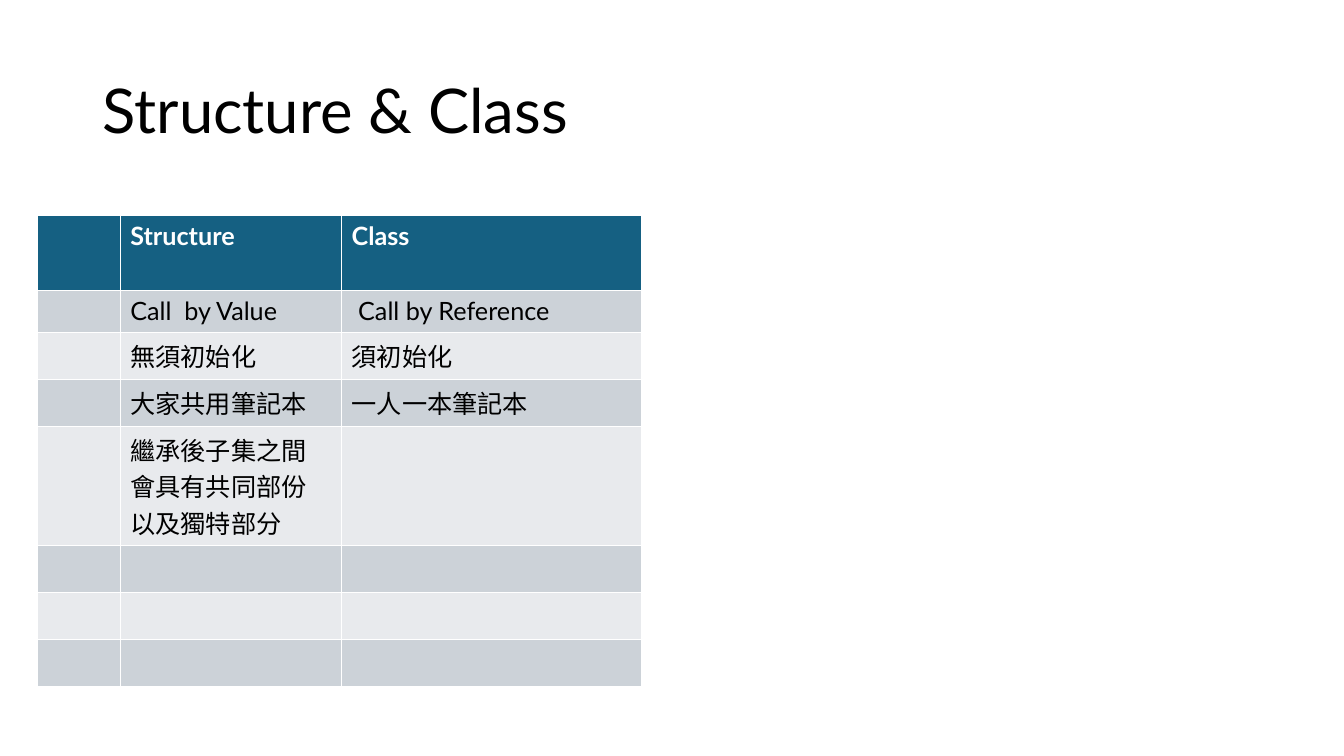
from pptx import Presentation
from pptx.dml.color import RGBColor
from pptx.enum.text import MSO_ANCHOR, PP_ALIGN
from pptx.util import Cm, Pt

LEFT, MIDDLE = PP_ALIGN.LEFT, MSO_ANCHOR.MIDDLE
FONT = "Lato"
BLACK, WHITE = "000000", "FFFFFF"
HEADER_FILL, BAND_FILLS = "156082", ("E8EAED", "CCD2D8")

TITLE = "Structure & Class"
ROWS = [
    ("", "Structure", "Class"),
    ("", "Call  by Value", " Call by Reference"),
    ("", "無須初始化", "須初始化"),
    ("", "大家共用筆記本", "一人一本筆記本"),
    ("", "繼承後子集之間會具有共同部份以及獨特部分", ""),
    ("", "", ""),
    ("", "", ""),
    ("", "", ""),
]
COL_WIDTHS = (2.08, 5.58, 7.55)
ROW_HEIGHTS = (1.9, 1.06) + (1.18,) * 6


def rgb(value):
    return RGBColor.from_string(value)


def style_text(p, size, color, bold=False):
    for r in p.runs:
        r.font.name = FONT
        r.font.size = Pt(size)
        r.font.bold = bold
        r.font.color.rgb = rgb(color)


prs = Presentation()
prs.slide_width, prs.slide_height = Cm(33.87), Cm(19.05)
s = prs.slides.add_slide(prs.slide_layouts[5])

title = s.shapes.title
title.left, title.top, title.width, title.height = Cm(2.33), Cm(1.01), Cm(29.21), Cm(3.68)
tf = title.text_frame
tf.text = TITLE
tf.vertical_anchor = MIDDLE
p = tf.paragraphs[0]
p.alignment = LEFT
p.line_spacing = 0.9
style_text(p, 44, BLACK)

# The default table style supplies the white cell borders
table = s.shapes.add_table(
    len(ROWS), len(COL_WIDTHS), Cm(0.95), Cm(5.42),
    Cm(sum(COL_WIDTHS)), Cm(sum(ROW_HEIGHTS))).table
for column, width in zip(table.columns, COL_WIDTHS):
    column.width = Cm(width)
for i, (texts, height) in enumerate(zip(ROWS, ROW_HEIGHTS)):
    header = i == 0
    table.rows[i].height = Cm(height)
    for j, text in enumerate(texts):
        cell = table.cell(i, j)
        cell.fill.solid()
        cell.fill.fore_color.rgb = rgb(HEADER_FILL if header else BAND_FILLS[i % 2])
        if text:
            cell.text_frame.text = text
            style_text(cell.text_frame.paragraphs[0], 18, WHITE if header else BLACK, header)

prs.save("out.pptx")
